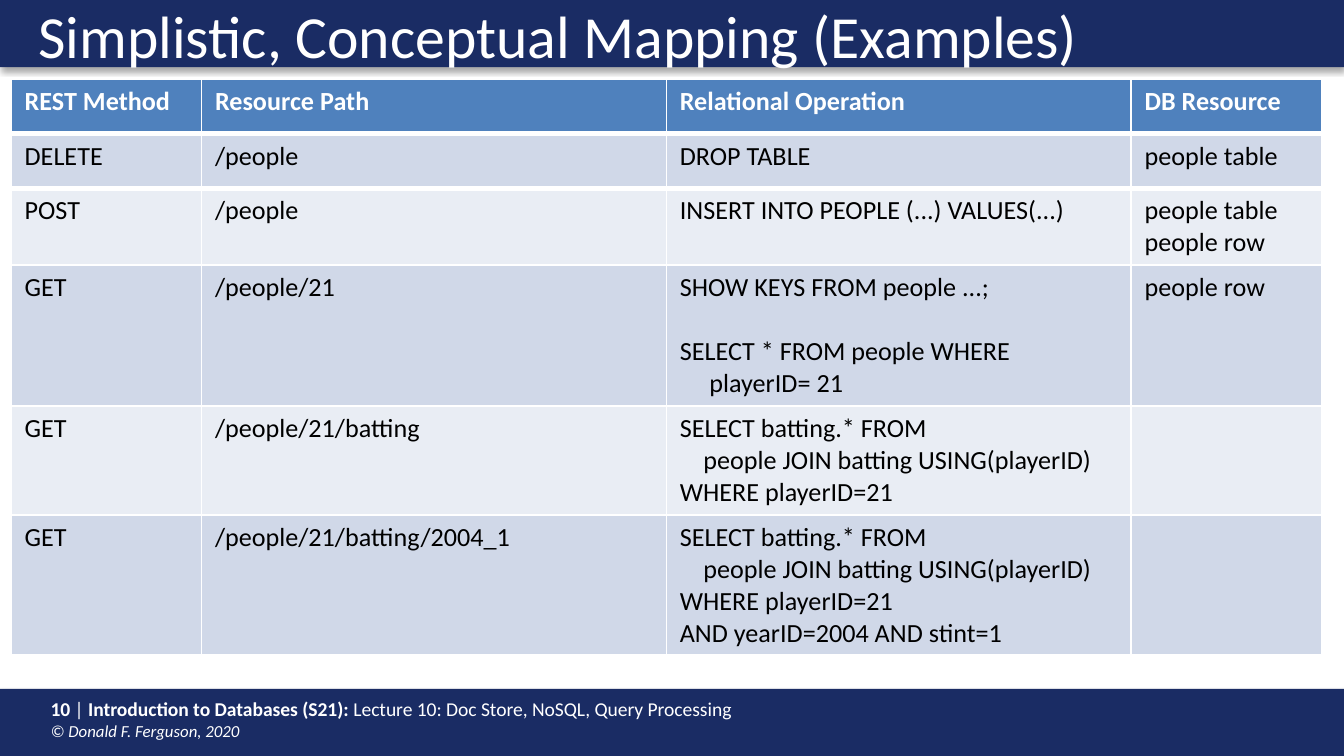
from lxml import etree
from pptx import Presentation
from pptx.dml.color import RGBColor
from pptx.enum import shapes, text
from pptx.oxml import ns
from pptx.util import Pt

FONT = "Calibri"
COLORS = {"navy": "1A2C64", "head": "4F81BD", "dark": "D0D8E8",
          "light": "E9EDF4", "white": "FFFFFF", "black": "000000"}
WIDE, HIGH, BAR = 720, 405, 36

TITLE = "Simplistic, Conceptual Mapping (Examples)"
FOOTER = [("10 ", True), ("|", False), (" Introduction to Databases (S21): ", True),
          ("Lecture 10: Doc Store, NoSQL, Query Processing", False)]
CREDIT = "© Donald F. Ferguson, 2020"

JOIN = "SELECT batting.* FROM\v    people JOIN batting USING(playerID)\vWHERE playerID=21"
ROWS = [
    ("REST Method", "Resource Path", "Relational Operation", "DB Resource"),
    ("DELETE", "/people", "DROP TABLE", "people table"),
    ("POST", "/people", "INSERT INTO PEOPLE (...) VALUES(...)", "people table\vpeople row"),
    ("GET", "/people/21",
     "SHOW KEYS FROM people ...;\nSELECT * FROM people WHERE\v     playerID= 21", "people row"),
    ("GET", "/people/21/batting", JOIN, ""),
    ("GET", "/people/21/batting/2004_1", JOIN + "\vAND yearID=2004 AND stint=1", ""),
]
COLS = [102, 249, 249, 102]
HEIGHTS = [29.2, 29.2, 41.2, 75.5, 58.5, 75]
LINE = 17  # height of one line of table text


def rgb(name):
    return RGBColor.from_string(COLORS[name])


def style(run, size, color="white", bold=False, italic=False):
    font = run.font
    font.name, font.size, font.bold, font.italic = FONT, Pt(size), bold, italic
    font.color.rgb = rgb(color)


def add_bar(slide, top):
    """Full-width navy band with a soft shadow below it."""
    bar = slide.shapes.add_shape(shapes.MSO_SHAPE.RECTANGLE, 0, Pt(top), Pt(WIDE), Pt(BAR))
    bar.fill.solid()
    bar.fill.fore_color.rgb = rgb("navy")
    bar.line.fill.background()
    bar.shadow.inherit = False
    effects = bar.element.spPr.find(ns.qn("a:effectLst"))
    shade = etree.SubElement(effects, ns.qn("a:outerShdw"), blurRad=str(Pt(3.1)),
                             dist=str(Pt(1.8)), dir="5400000", rotWithShape="0")
    tone = etree.SubElement(shade, ns.qn("a:srgbClr"), val=COLORS["black"])
    etree.SubElement(tone, ns.qn("a:alpha"), val="35000")


def add_box(slide, left, top, width, height):
    frame = slide.shapes.add_textbox(Pt(left), Pt(top), Pt(width), Pt(height)).text_frame
    frame.word_wrap = True
    frame.vertical_anchor = text.MSO_ANCHOR.TOP
    return frame


def add_footer(slide):
    add_bar(slide, HIGH - BAR)
    frame = add_box(slide, 20, 370, 534, 31)
    for words, bold in FOOTER:
        run = frame.paragraphs[0].add_run()
        run.text = words
        style(run, 10.5, bold=bold)
    run = frame.add_paragraph().add_run()
    run.text = CREDIT
    style(run, 9, italic=True)


def add_title(slide):
    add_bar(slide, 0)
    frame = add_box(slide, 13.5, 0, 682.5, 34.5)
    frame.text = TITLE
    frame.paragraphs[0].line_spacing = 0.9
    style(frame.paragraphs[0].runs[0], 32)


def add_edge(cell, side, width):
    """White border on one side of a cell; borders come before the fill."""
    edge = etree.Element(ns.qn("a:" + side), w=str(Pt(width)))
    fill = etree.SubElement(edge, ns.qn("a:solidFill"))
    etree.SubElement(fill, ns.qn("a:srgbClr"), val=COLORS["white"])
    cell.fill.solid()
    cell._tc.tcPr.insert(0, edge)


def add_grid(slide):
    table = slide.shapes.add_table(len(ROWS), len(COLS), Pt(6), Pt(42.5),
                                   Pt(sum(COLS)), Pt(sum(HEIGHTS))).table
    for col, width in zip(table.columns, COLS):
        col.width = Pt(width)
    for r, (row, height) in enumerate(zip(ROWS, HEIGHTS)):
        table.rows[r].height = Pt(height)
        head = r == 0
        fill = "head" if head else "dark" if r % 2 else "light"
        for c, words in enumerate(row):
            cell = table.cell(r, c)
            if r < 2:
                add_edge(cell, "lnB" if head else "lnT", 3)
            cell.fill.solid()
            cell.fill.fore_color.rgb = rgb(fill)
            cell.text_frame.text = words
            for p, para in enumerate(cell.text_frame.paragraphs):
                para.font.size = Pt(14)
                if p:
                    para.space_before = Pt(LINE)
                for run in para.runs:
                    style(run, 14, "white" if head else "black", bold=head)


def main():
    deck = Presentation()
    deck.slide_width, deck.slide_height = Pt(WIDE), Pt(HIGH)
    slide = deck.slides.add_slide(deck.slide_layouts[6])
    add_footer(slide)
    add_title(slide)
    add_grid(slide)
    deck.save("out.pptx")


if __name__ == "__main__":
    main()
